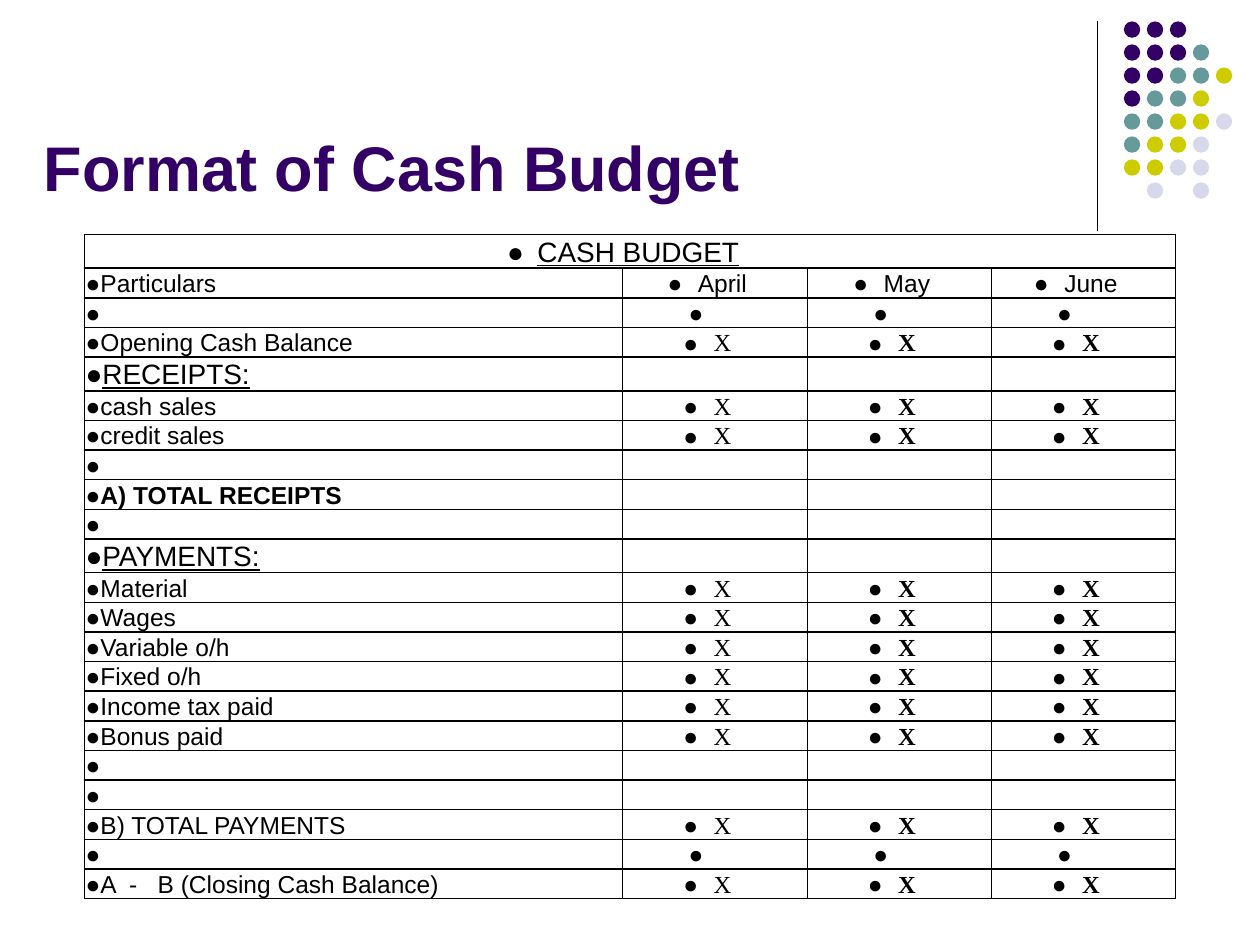
from lxml.etree import SubElement
from pptx import Presentation
from pptx.dml.color import RGBColor
from pptx.enum.shapes import MSO_CONNECTOR, MSO_SHAPE
from pptx.enum.text import MSO_ANCHOR, PP_ALIGN
from pptx.oxml.ns import qn
from pptx.util import Inches, Pt

COLORS = {
    "purple": "330066",
    "teal": "669999",
    "olive": "CCCC00",
    "lavender": "D8D8EC",
    "black": "000000",
}
DOT_COLORS = {"P": "purple", "T": "teal", "O": "olive", "L": "lavender"}
DOT_ROWS = ["PPP", "PPPT", "PPTTO", "PTTO", "TTOOL", "TOOL", "OOLL", " L L"]
DOT_PITCH = 0.73 / 4
DOT_SIZE = 0.13

COLUMN_WIDTHS = [4.27, 1.47, 1.46, 1.46]
BODY_SIZE = 14
HEADING_SIZE = 16
LINE_HEIGHT = 1.21
BULLET_GAP = 0.24
MARKS = ["X"] * 3
BULLETS = [" "] * 3
EMPTY = [""] * 3
BUDGET_ROWS = [
    ("CASH BUDGET", EMPTY),
    ("Particulars", ["April", "May", "June"]),
    (" ", BULLETS),
    ("Opening Cash Balance", MARKS),
    ("RECEIPTS:", EMPTY),
    ("cash sales", MARKS),
    ("credit sales", MARKS),
    (" ", EMPTY),
    ("A) TOTAL RECEIPTS", EMPTY),
    (" ", EMPTY),
    ("PAYMENTS:", EMPTY),
    ("Material", MARKS),
    ("Wages", MARKS),
    ("Variable o/h", MARKS),
    ("Fixed o/h", MARKS),
    ("Income tax paid", MARKS),
    ("Bonus paid", MARKS),
    (" ", EMPTY),
    (" ", EMPTY),
    ("B) TOTAL PAYMENTS", MARKS),
    (" ", BULLETS),
    ("A  -   B (Closing Cash Balance)", MARKS),
]
HEADINGS = {"CASH BUDGET", "RECEIPTS:", "PAYMENTS:"}
BOLD_LABELS = {"A) TOTAL RECEIPTS"}


def color(name):
    return RGBColor.from_string(COLORS[name])


def style_run(span, size, name="black", face="Arial", bold=False, underline=False):
    span.font.size = Pt(size)
    span.font.name = face
    span.font.bold = bold
    span.font.underline = underline
    span.font.color.rgb = color(name)


def add_divider(page):
    line = page.shapes.add_connector(
        MSO_CONNECTOR.STRAIGHT, Inches(8.71), Inches(0.17), Inches(8.71), Inches(1.83)
    )
    line.line.color.rgb = color("black")
    line.line.width = Pt(0.75)
    SubElement(line._element.spPr, qn("a:effectLst"))


def add_dots(page):
    group = page.shapes.add_group_shape()
    for row, pattern in enumerate(DOT_ROWS):
        for column, key in enumerate(pattern):
            if key == " ":
                continue
            dot = group.shapes.add_shape(
                MSO_SHAPE.OVAL,
                Inches(8.92 + column * DOT_PITCH),
                Inches(0.17 + row * DOT_PITCH),
                Inches(DOT_SIZE),
                Inches(DOT_SIZE),
            )
            dot.shadow.inherit = False
            dot.fill.solid()
            dot.fill.fore_color.rgb = color(DOT_COLORS[key])
            dot.line.fill.background()


def add_title(page):
    box = page.shapes.add_textbox(Inches(0.25), Inches(0.25), Inches(8.42), Inches(1.42))
    frame = box.text_frame
    frame.word_wrap = True
    frame.vertical_anchor = MSO_ANCHOR.BOTTOM
    frame.text = "Format of Cash Budget"
    style_run(frame.paragraphs[0].runs[0], 36, "purple", bold=True)


def add_bullet(para):
    gap = BULLET_GAP if para.alignment == PP_ALIGN.CENTER else 0
    properties = para._p.get_or_add_pPr()
    properties.set("marL", "0")
    properties.set("indent", str(-Inches(gap)))
    fill = SubElement(properties, qn("a:buClr"))
    SubElement(fill, qn("a:srgbClr"), val=COLORS["black"])
    SubElement(properties, qn("a:buSzPct"), val="100000")
    SubElement(properties, qn("a:buFont"), typeface="Arial")
    SubElement(properties, qn("a:buChar"), char="●")


def set_borders(cell):
    properties = cell._tc.get_or_add_tcPr()
    for side in ("a:lnL", "a:lnR", "a:lnT", "a:lnB"):
        border = SubElement(properties, qn(side), w=str(Pt(1)))
        fill = SubElement(border, qn("a:solidFill"))
        SubElement(fill, qn("a:srgbClr"), val=COLORS["black"])


def fill_cell(cell, text, size, align, **style):
    cell.margin_left = cell.margin_right = Inches(0.01)
    cell.margin_top = cell.margin_bottom = 0
    cell.vertical_anchor = MSO_ANCHOR.BOTTOM
    set_borders(cell)
    cell.fill.background()
    para = cell.text_frame.paragraphs[0]
    para.alignment = align
    if text:
        para.text = text
        add_bullet(para)
        style_run(para.runs[0], size, **style)
    else:
        ending = SubElement(para._p, qn("a:endParaRPr"), sz=str(BODY_SIZE * 100))
        SubElement(ending, qn("a:latin"), typeface="Arial")


def add_budget(page):
    sizes = [HEADING_SIZE if label in HEADINGS else BODY_SIZE for label, _ in BUDGET_ROWS]
    heights = [Inches(size * LINE_HEIGHT / 72) for size in sizes]
    table = page.shapes.add_table(
        len(BUDGET_ROWS), len(COLUMN_WIDTHS),
        Inches(0.67), Inches(1.86), Inches(sum(COLUMN_WIDTHS)), sum(heights),
    ).table
    table.first_row = False
    table.horz_banding = False
    for column, width in zip(table.columns, COLUMN_WIDTHS):
        column.width = Inches(width)
    for index, (label, values) in enumerate(BUDGET_ROWS):
        table.rows[index].height = heights[index]
        fill_cell(
            table.cell(index, 0), label, sizes[index],
            PP_ALIGN.LEFT if index else PP_ALIGN.CENTER,
            bold=label in BOLD_LABELS, underline=label in HEADINGS,
        )
        for month, value in enumerate(values, 1):
            mark = value == "X"
            fill_cell(
                table.cell(index, month), value, BODY_SIZE, PP_ALIGN.CENTER,
                face="Times New Roman" if mark else "Arial", bold=mark and month > 1,
            )
    table.cell(0, 0).merge(table.cell(0, len(COLUMN_WIDTHS) - 1))


def main():
    deck = Presentation()
    deck.slide_width = Inches(10)
    deck.slide_height = Inches(7.5)
    page = deck.slides.add_slide(deck.slide_layouts[6])
    add_divider(page)
    add_dots(page)
    add_title(page)
    add_budget(page)
    deck.save("out.pptx")


if __name__ == "__main__":
    main()
